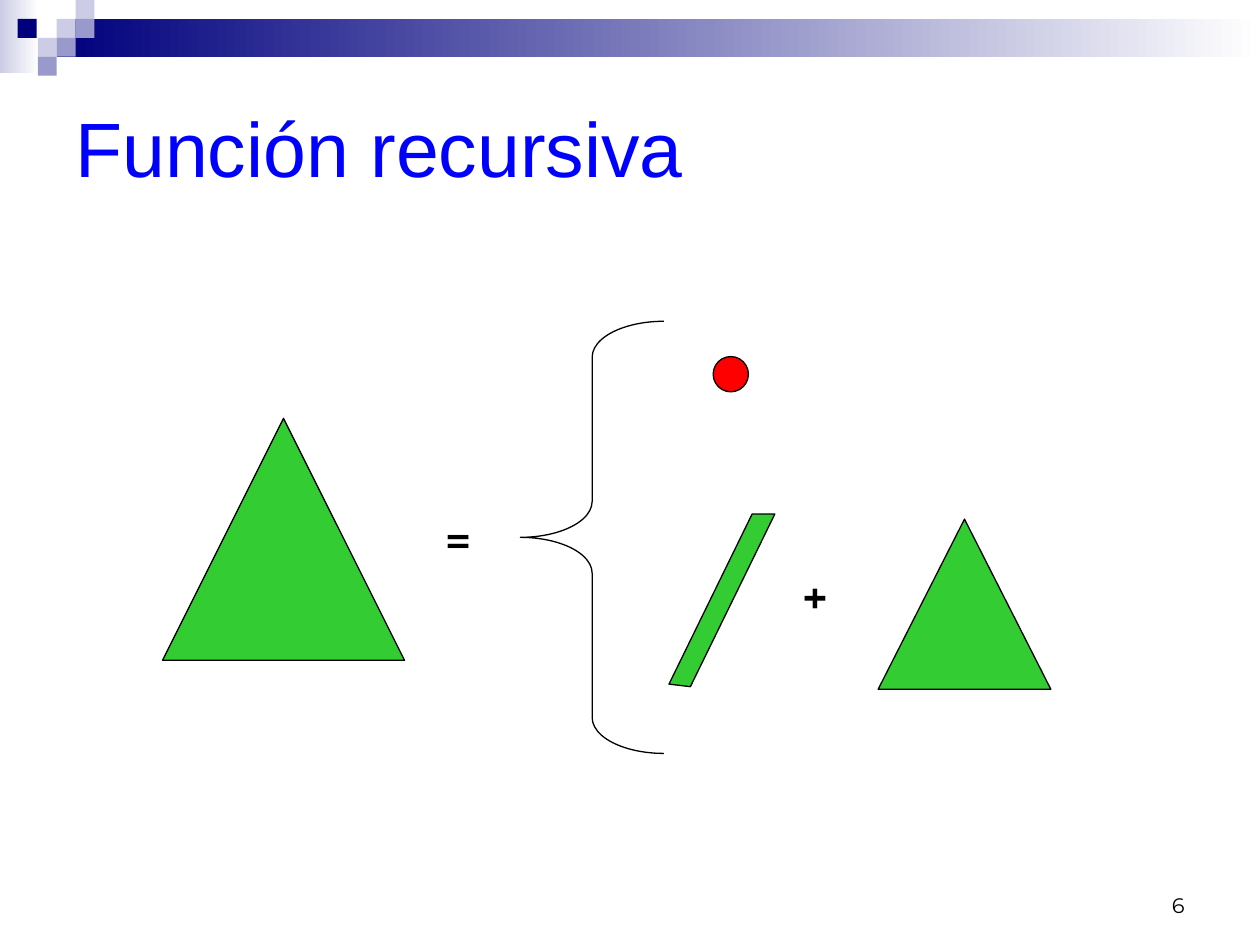
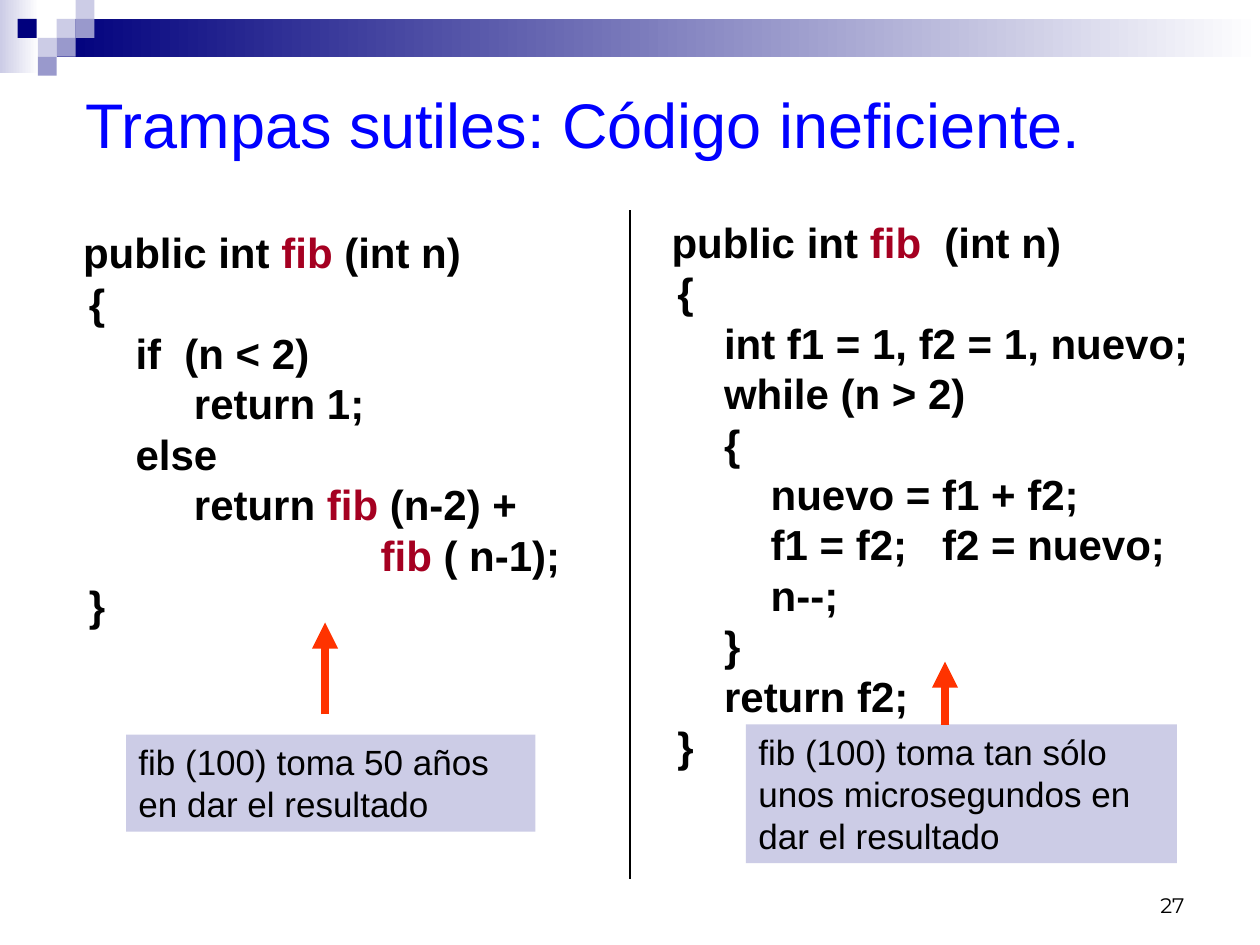
from lxml.etree import SubElement
from pptx import Presentation
from pptx.dml.color import RGBColor
from pptx.enum.shapes import MSO_CONNECTOR, MSO_SHAPE
from pptx.enum.text import MSO_ANCHOR, PP_ALIGN
from pptx.oxml.ns import qn
from pptx.util import Inches, Pt

HUES = {
    "white": "FFFFFF", "black": "000000", "blue": "0000FF", "navy": "00007D",
    "pale": "CCCCE6", "lilac": "9999CC", "green": "33CC33", "red": "FF0000",
    "wine": "A50021", "flame": "FF3300",
}
CELL = 0.15
TILES = [
    (0.45, 1, "pale"), (0.6, 0, "pale"), (0.6, 1, "lilac"), (0.3, 2, "pale"),
    (0.14, 1, "navy"), (0.45, 2, "lilac"), (0.3, 3, "lilac"),
]
SPACE = 0.0926
SLOW = [
    (2.5, ["public int ", "fib", " (int n)"]),
    (3, ["{"]),
    (7, ["if  (n < 2)"]),
    (12, ["return 1;"]),
    (7, ["else"]),
    (12, ["return ", "fib", " (n-2) +"]),
    (28, ["fib", " ( n-1);"]),
    (3, ["}"]),
]
FAST = [
    (2.5, ["public int ", "fib", "  (int n)"]),
    (3, ["{"]),
    (7, ["int f1 = 1, f2 = 1, nuevo;"]),
    (7, ["while (n > 2)"]),
    (7, ["{"]),
    (11, ["nuevo = f1 + f2;"]),
    (11, ["f1 = f2;   f2 = nuevo;"]),
    (11, ["n--;"]),
    (7, ["}"]),
    (7, ["return f2;"]),
    (3, ["}"]),
]


def hue(name):
    return RGBColor.from_string(HUES[name])


class Deck:
    def __init__(self):
        self.file = Presentation()
        self.file.slide_width = Inches(10)
        self.file.slide_height = Inches(7.5)
        self.slide = None

    def page(self, number):
        self.slide = self.file.slides.add_slide(self.file.slide_layouts[6])
        self.fade((0, 0, 0.31, 0.58), "pale")
        self.fade((0.45, CELL, 9.55, 2 * CELL), "navy")
        for left, row, name in TILES:
            self.shape(MSO_SHAPE.RECTANGLE, (left, row * CELL, CELL, CELL), name)
        self.text((7.17, 6.83, 2.33, 0.5), str(number), 12, font="Montserrat",
                  align=PP_ALIGN.RIGHT, anchor=MSO_ANCHOR.BOTTOM)

    def paint(self, shape, fill=None, edge=None):
        shape.shadow.inherit = False
        if fill:
            shape.fill.solid()
            shape.fill.fore_color.rgb = hue(fill)
        else:
            shape.fill.background()
        if edge:
            shape.line.color.rgb = hue(edge)
            shape.line.width = Pt(0.75)
        else:
            shape.line.fill.background()
        return shape

    def shape(self, kind, box, fill=None, edge=None):
        shape = self.slide.shapes.add_shape(kind, *map(Inches, box))
        return self.paint(shape, fill, edge)

    def fade(self, box, name):
        fill = self.shape(MSO_SHAPE.RECTANGLE, box).fill
        fill.gradient()
        fill.gradient_angle = 180
        for stop, tone, place in zip(fill.gradient_stops, ("white", name), (0, 1)):
            stop.color.rgb = hue(tone)
            stop.position = place

    def outline(self, points, fill):
        first, *rest = [tuple(map(Inches, point)) for point in points]
        pen = self.slide.shapes.build_freeform(*first)
        pen.add_line_segments(rest, close=True)
        self.paint(pen.convert_to_shape(), fill, "black")

    def line(self, start, end, name, width, arrow=False):
        line = self.slide.shapes.add_connector(
            MSO_CONNECTOR.STRAIGHT, *map(Inches, start + end))
        line.line.color.rgb = hue(name)
        line.line.width = Pt(width)
        if arrow:
            SubElement(line.line._get_or_add_ln(), qn("a:tailEnd"), type="triangle")
        SubElement(line._element.spPr, qn("a:effectLst"))

    def frame(self, box, anchor=MSO_ANCHOR.TOP, wrap=True):
        frame = self.slide.shapes.add_textbox(*map(Inches, box)).text_frame
        frame.word_wrap = wrap
        frame.vertical_anchor = anchor
        return frame

    def run(self, para, words, size, name="black", font="Arial", bold=False):
        run = para.add_run()
        run.text = words
        run.font.size = Pt(size)
        run.font.name = font
        run.font.bold = bold
        run.font.color.rgb = hue(name)

    def text(self, box, words, size, name="black", font="Arial",
             align=PP_ALIGN.LEFT, anchor=MSO_ANCHOR.TOP, wrap=True):
        para = self.frame(box, anchor, wrap).paragraphs[0]
        para.alignment = align
        self.run(para, words, size, name, font)

    def title(self, box, words, size, anchor):
        self.text(box, words, size, "blue", anchor=anchor)

    def sign(self, left, top, mark):
        self.text((left, top, 0.45, 0.64), mark, 32, font="Cabin", wrap=False)

    def code(self, box, lines):
        frame = self.frame(box)
        for place, (indent, parts) in enumerate(lines):
            para = frame.add_paragraph() if place else frame.paragraphs[0]
            para.line_spacing = Pt(28.8)
            para._p.get_or_add_pPr().set("marL", str(Inches(indent * SPACE)))
            for part in parts:
                self.run(para, part, 24, "wine" if part == "fib" else "black", bold=True)

    def note(self, box, words):
        frame = self.shape(MSO_SHAPE.RECTANGLE, box, "pale").text_frame
        frame.word_wrap = True
        frame.vertical_anchor = MSO_ANCHOR.TOP
        para = frame.paragraphs[0]
        para.alignment = PP_ALIGN.LEFT
        para.line_spacing = Pt(24)
        self.run(para, words, 20)


def draw_split(deck):
    deck.page(6)
    deck.title((0.5, 0.5, 9, 1.08), "Función recursiva", 44, MSO_ANCHOR.BOTTOM)
    deck.shape(MSO_SHAPE.ISOSCELES_TRIANGLE, (1.29, 3.32, 1.92, 1.92), "green", "black")
    deck.sign(3.43, 3.93, "=")
    brace = deck.shape(MSO_SHAPE.LEFT_BRACE, (4.13, 2.55, 1.14, 3.43), edge="black")
    brace.adjustments[0] = 0.25
    deck.shape(MSO_SHAPE.OVAL, (5.66, 2.83, 0.28, 0.28), "red", "black")
    deck.shape(MSO_SHAPE.ISOSCELES_TRIANGLE, (6.97, 4.12, 1.37, 1.35), "green", "black")
    deck.outline([(5.31, 5.43), (5.97, 4.08), (6.15, 4.08), (5.48, 5.45)], "green")
    deck.sign(6.27, 4.38, "+")


def draw_traps(deck):
    deck.page(27)
    deck.title((0.58, 0.54, 8.83, 0.88), "Trampas sutiles: Código ineficiente.", 36,
               MSO_ANCHOR.MIDDLE)
    deck.code((0.33, 1.75, 4.33, 3.3), SLOW)
    deck.code((5, 1.67, 4.55, 4.5), FAST)
    deck.line((5, 1.67), (5, 6.98), "black", 1.5)
    deck.note((1, 5.83, 3.25, 0.77), "fib (100) toma 50 años en dar el resultado")
    deck.line((2.58, 5.67), (2.58, 4.94), "flame", 5, arrow=True)
    deck.note((5.92, 5.75, 3.42, 1.1),
              "fib (100) toma tan sólo unos microsegundos en dar el resultado")
    deck.line((7.5, 5.75), (7.5, 5.25), "flame", 5, arrow=True)


def main():
    deck = Deck()
    draw_split(deck)
    draw_traps(deck)
    deck.file.save("out.pptx")


if __name__ == "__main__":
    main()
